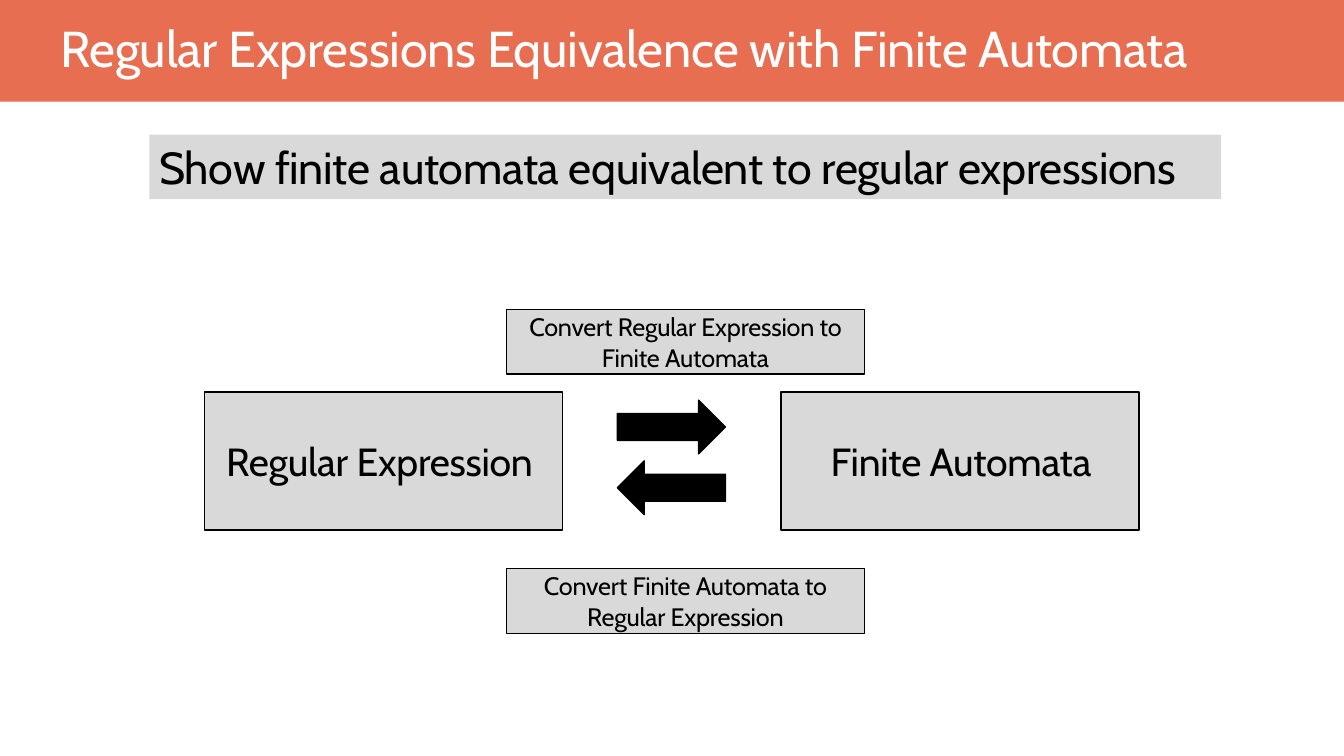
"""Build a slide on regular expressions and finite automata."""
from pptx import Presentation
from pptx.dml.color import RGBColor
from pptx.enum.shapes import MSO_SHAPE
from pptx.enum.text import MSO_ANCHOR, PP_ALIGN
from pptx.util import Pt

RECT, RIGHT, BACK = MSO_SHAPE.RECTANGLE, MSO_SHAPE.RIGHT_ARROW, MSO_SHAPE.LEFT_ARROW
MIDDLE, LEFT, CENTER = MSO_ANCHOR.MIDDLE, PP_ALIGN.LEFT, PP_ALIGN.CENTER
CORAL = RGBColor(0xE7, 0x6E, 0x51)
GRAY = RGBColor(0xD9, 0xD9, 0xD9)
BLACK = RGBColor(0, 0, 0)
WHITE = RGBColor(255, 255, 255)

deck = Presentation()
deck.slide_width, deck.slide_height = Pt(960), Pt(540)
slide = deck.slides.add_slide(deck.slide_layouts[6])


def draw(kind, place, fill, edge=None):
    """Add a flat shape with an optional outline."""
    shape = slide.shapes.add_shape(kind, *map(Pt, place))
    shape.shadow.inherit = False
    shape.fill.solid()
    shape.fill.fore_color.rgb = fill
    if edge is None:
        shape.line.fill.background()
    else:
        shape.line.color.rgb = edge
        shape.line.width = Pt(1)
    return shape


def write(shape, text, size, color, space, align=LEFT, left=0, right=0):
    """Put one vertically centred paragraph in a shape."""
    frame = shape.text_frame
    form = {"word_wrap": True, "vertical_anchor": MIDDLE,
            "margin_left": Pt(left), "margin_right": Pt(right),
            "margin_top": 0, "margin_bottom": 0}
    for name, value in form.items():
        setattr(frame, name, value)
    line = frame.paragraphs[0]
    line.alignment = align
    run = line.add_run()
    run.text = text
    for name, value in {"name": "Cabin", "size": Pt(size)}.items():
        setattr(run.font, name, value)
    run.font.color.rgb = color
    run._r.get_or_add_rPr().set("spc", str(space))


draw(RECT, (0, 0, 960, 72.6), CORAL)
title = slide.shapes.add_textbox(Pt(43.2), Pt(6.5), Pt(827), Pt(54))
write(title, "Regular Expressions Equivalence with Finite Automata", 36, WHITE, -20)

goal = draw(RECT, (106.8, 96.2, 765.4, 46), GRAY)
write(goal, "Show finite automata equivalent to regular expressions", 32, BLACK, -23, left=7.2)

ends = [(146.2, "Regular Expression", 15.4), (557.8, "Finite Automata", 35.6)]
for x, text, left in ends:
    box = draw(RECT, (x, 280, 255.8, 98.6), GRAY, BLACK)
    write(box, text, 28, BLACK, -18, left=left)

for kind, y in [(RIGHT, 285.8), (BACK, 329.2)]:
    draw(kind, (441, y, 77.2, 38.4), BLACK, BLACK)

notes = [(221.2, "Convert Regular Expression to Finite Automata"),
         (406.3, "Convert Finite Automata to Regular Expression")]
for y, text in notes:
    box = draw(RECT, (361.7, y, 255.8, 46.1), GRAY, BLACK)
    write(box, text, 18, BLACK, -15, CENTER, 12, 12)

deck.save("out.pptx")
